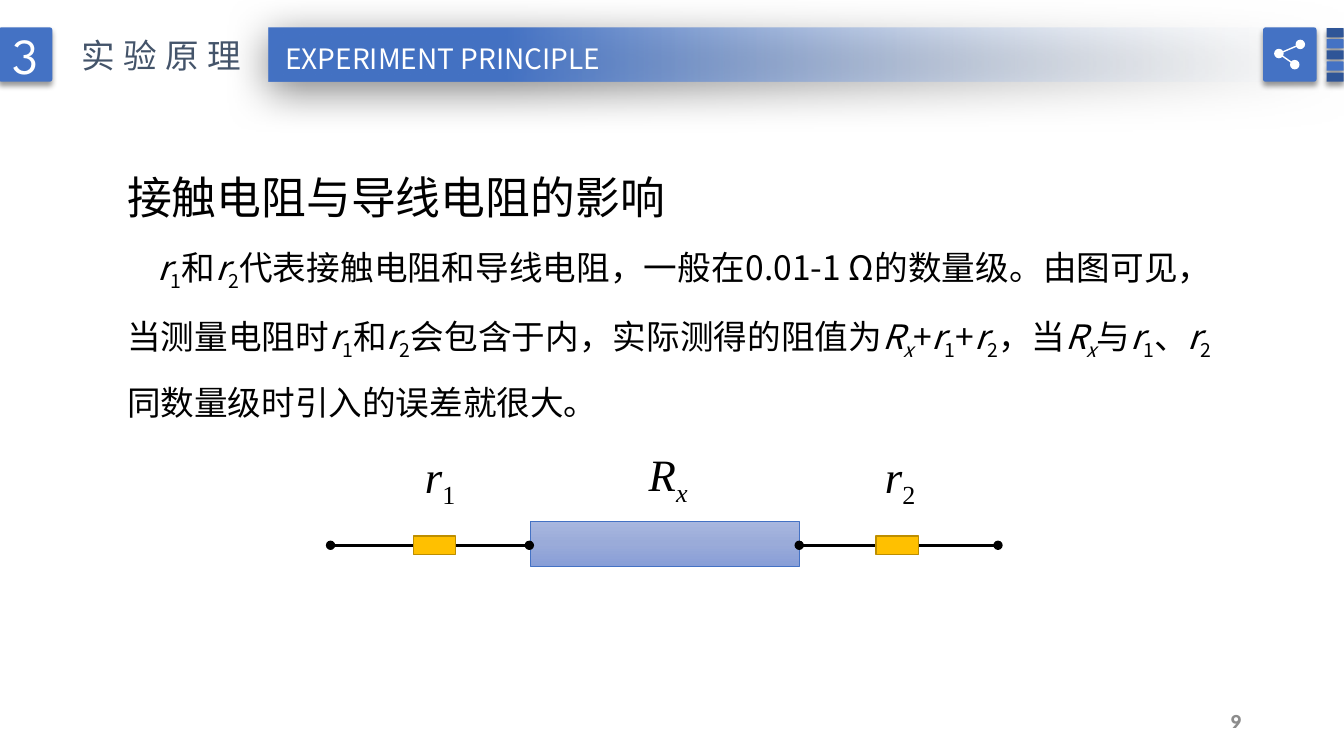
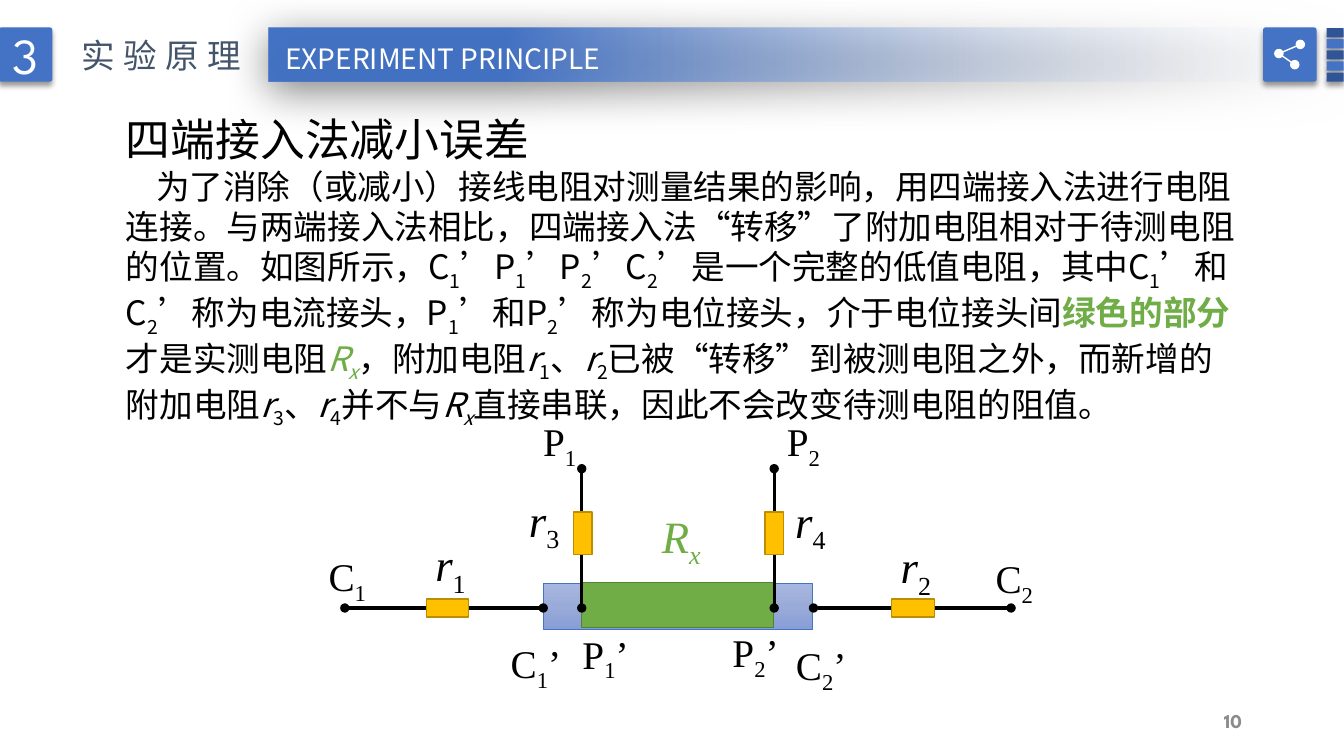
"""Two slides on contact resistance and the four-terminal connection."""
from dataclasses import dataclass
from typing import Any, Sequence

from lxml import etree
from pptx import Presentation
from pptx.dml.color import RGBColor
from pptx.enum.lang import MSO_LANGUAGE_ID
from pptx.enum.shapes import MSO_CONNECTOR, MSO_SHAPE
from pptx.enum.text import MSO_ANCHOR, MSO_AUTO_SIZE, PP_ALIGN
from pptx.oxml import parse_xml
from pptx.oxml.ns import nsdecls, qn
from pptx.slide import Slide
from pptx.util import Cm, Pt

RECT, ROUND, OVAL = MSO_SHAPE.RECTANGLE, MSO_SHAPE.ROUNDED_RECTANGLE, MSO_SHAPE.OVAL
STRAIGHT = MSO_CONNECTOR.STRAIGHT
LEFT, CENTER, RIGHT, JUSTIFY = PP_ALIGN.LEFT, PP_ALIGN.CENTER, PP_ALIGN.RIGHT, PP_ALIGN.JUSTIFY
TOP, MIDDLE = MSO_ANCHOR.TOP, MSO_ANCHOR.MIDDLE
NO_FIT = MSO_AUTO_SIZE.NONE
GROW = MSO_AUTO_SIZE.SHAPE_TO_FIT_TEXT
CHINESE = MSO_LANGUAGE_ID.SIMPLIFIED_CHINESE


@dataclass(frozen=True)
class Theme:
    """Colours, fonts and type sizes of the deck."""
    blue: str = "4472C4"
    navy: str = "2F5597"
    slate: str = "44546A"
    grey: str = "8C8C8C"
    white: str = "FFFFFF"
    black: str = "000000"
    pale: str = "F7FAFD"
    green: str = "70AD47"
    green_line: str = "538035"
    amber: str = "FFC000"
    amber_line: str = "BD8E00"
    block: tuple[str, ...] = ("A8B7DF", "9AABD9", "889ED7")
    sans: str = "Noto Sans CJK SC"
    display: str = "League Spartan"
    serif: str = "Times New Roman"
    number: int = 36
    heading: int = 32
    symbol: int = 32
    terminal: int = 28
    body: int = 24
    band: int = 20
    page: int = 14


@dataclass(frozen=True)
class Box:
    """A rectangle in centimetres."""
    x: float
    y: float
    w: float
    h: float

    def emu(self) -> tuple[int, int, int, int]:
        """Return the four lengths for python-pptx."""
        return Cm(self.x), Cm(self.y), Cm(self.w), Cm(self.h)


@dataclass(frozen=True)
class Wire:
    """A straight lead from one point to another."""
    x1: float
    y1: float
    x2: float
    y2: float


@dataclass(frozen=True)
class Resistor:
    """A small resistor given by its centre."""
    cx: float
    cy: float
    upright: bool = False


@dataclass(frozen=True)
class Label:
    """A circuit label in run markup."""
    text: str
    x: float
    y: float
    w: float
    size: int


@dataclass(frozen=True)
class Page:
    """The content of one slide."""
    number: str
    heading: str
    text: str
    box: Box
    align: Any
    spacing: float
    block: Box
    wires: Sequence[Wire]
    resistors: Sequence[Resistor]
    labels: Sequence[Label]
    core: Box | None = None


T = Theme()
SYM, TERM = T.symbol, T.terminal

PAGES = (
    Page(
        "9", "接触电阻与导线电阻的影响",
        "*r|_1|和|*r|_2|代表接触电阻和导线电阻，一般在0.01-1 Ω的数量级。由图可见，当测量电阻时"
        "|*r|_1|和|*r|_2|会包含于内，实际测得的阻值为|*R|*_x|+|*r|_1|+|*r|_2|，当|*R|*_x|与"
        "|*r|_1|、|*r|_2|同数量级时引入的误差就很大。",
        Box(2.95, 3.48, 27.84, 6.93), JUSTIFY, 1.5,
        Box(13.36, 13.13, 6.78, 1.14),
        (Wire(8.33, 13.74, 13.34, 13.74), Wire(20.14, 13.74, 25.15, 13.74)),
        (Resistor(10.95, 13.74), Resistor(22.61, 13.74)),
        (Label("*R|*_x", 16.1, 11.13, 1.55, SYM), Label("*r|_1", 10.46, 11.18, 1.35, SYM),
         Label("*r|_2", 22.05, 11.18, 1.35, SYM)),
    ),
    Page(
        "10", "四端接入法减小误差",
        "为了消除（或减小）接线电阻对测量结果的影响，用四端接入法进行电阻连接。与两端接入法相比，"
        "四端接入法“转移”了附加电阻相对于待测电阻的位置。如图所示，C|_1|’P|_1|’P|_2|’C|_2|"
        "’是一个完整的低值电阻，其中C|_1|’和C|_2|’称为电流接头，P|_1|’和P|_2|"
        "’称为电位接头，介于电位接头间|#!绿色的部分|才是实测电阻|#*R|#*_x|，附加电阻"
        "|*r|_1|、|*r|_2|已被“转移”到被测电阻之外，而新增的附加电阻|*r|_3|、|*r|_4|并不与"
        "|*R|*_x|直接串联，因此不会改变待测电阻的阻值。",
        Box(2.92, 2.69, 28.52, 9.32), LEFT, 1.0,
        Box(13.69, 14.71, 6.78, 1.14),
        (Wire(8.69, 15.32, 13.69, 15.32), Wire(20.5, 15.32, 25.48, 15.32),
         Wire(14.66, 11.81, 14.66, 15.32), Wire(19.51, 11.81, 19.51, 15.32)),
        (Resistor(11.28, 15.32), Resistor(23.01, 15.32),
         Resistor(14.69, 13.44, True), Resistor(19.51, 13.44, True)),
        (Label("#*R|#*_x", 16.43, 12.7, 1.55, SYM), Label("*r|_1", 10.72, 13.41, 1.35, SYM),
         Label("*r|_2", 22.45, 13.46, 1.35, SYM), Label("*r|_3", 13.08, 12.29, 1.35, SYM),
         Label("*r|_4", 19.79, 12.32, 1.35, SYM), Label("C|_1", 8.03, 13.79, 1.5, TERM),
         Label("C|_2", 24.84, 13.84, 1.5, TERM), Label("P|_1", 13.44, 10.39, 1.4, TERM),
         Label("P|_2", 19.58, 10.39, 1.4, TERM), Label("C|_1|’", 12.62, 15.98, 1.85, TERM),
         Label("P|_1|’", 14.43, 15.75, 1.73, TERM), Label("P|_2|’", 18.21, 15.72, 1.73, TERM),
         Label("C|_2|’", 19.81, 16.03, 1.85, TERM)),
        Box(14.66, 14.68, 4.83, 1.14),
    ),
)


def style_run(r: Any, size: int, color: str, face: str) -> None:
    """Set size, colour and typeface of a run for all scripts."""
    r.font.size = Pt(size)
    r.font.color.rgb = RGBColor.from_string(color)
    r.font.name = face
    rpr = r.font._element
    rpr.find(qn("a:latin")).addnext(rpr.makeelement(qn("a:ea"), {"typeface": face}))
    if face == T.sans:
        r.font.language_id = CHINESE


def write_marked(p: Any, text: str, size: int, face: str) -> None:
    """Write runs split by | with marks: # green, ! bold, * italic, _ subscript."""
    for part in text.split("|"):
        r = p.add_run()
        r.text = part.lstrip("#!*_")
        marks = part[:len(part) - len(r.text)]
        style_run(r, size, T.green if "#" in marks else T.black, face)
        r.font.bold = "!" in marks
        r.font.italic = "*" in marks
        if "_" in marks:
            r.font._element.set("baseline", "-25000")


def write_plain(sp: Any, text: str, size: int, color: str, face: str, align: Any,
                anchor: Any = TOP, wrap: bool = True) -> None:
    """Fill a shape with one uniform paragraph."""
    tf = sp.text_frame
    tf.text = text
    tf.word_wrap = wrap
    tf.vertical_anchor = anchor
    tf.auto_size = NO_FIT if wrap else GROW
    p = tf.paragraphs[0]
    p.alignment = align
    style_run(p.runs[0], size, color, face)


def add_shadow(sp: Any, alpha: int, blur: int, dist: int, angle: int) -> None:
    """Give a shape a black outer shadow."""
    effects = sp.element.spPr.find(qn("a:effectLst"))
    effects.append(parse_xml(
        f'<a:outerShdw {nsdecls("a")} blurRad="{Pt(blur)}" dist="{Pt(dist)}" '
        f'dir="{angle * 60000}" algn="t" rotWithShape="0"><a:srgbClr val="{T.black}">'
        f'<a:alpha val="{alpha * 1000}"/></a:srgbClr></a:outerShdw>'))


def fill_gradient(sp: Any, stops: Sequence[tuple[int, str, int]], angle: int) -> None:
    """Fill a shape with stops of position, colour and opacity."""
    inner = "".join(
        f'<a:gs pos="{pos * 1000}"><a:srgbClr val="{color}">'
        f'<a:alpha val="{alpha * 1000}"/></a:srgbClr></a:gs>' for pos, color, alpha in stops)
    sp.element.spPr.find(qn("a:prstGeom")).addnext(parse_xml(
        f'<a:gradFill {nsdecls("a")} rotWithShape="1"><a:gsLst>{inner}</a:gsLst>'
        f'<a:lin ang="{angle * 60000}" scaled="0"/></a:gradFill>'))


def add_block(s: Slide, kind: Any, box: Box, fill: str | None = None,
              line: str | None = None, width: float = 1) -> Any:
    """Add a preset shape with a flat fill and an optional outline."""
    sp = s.shapes.add_shape(kind, *box.emu())
    sp.shadow.inherit = False
    if fill:
        sp.fill.solid()
        sp.fill.fore_color.rgb = RGBColor.from_string(fill)
    if line:
        sp.line.color.rgb = RGBColor.from_string(line)
        sp.line.width = Pt(width)
    else:
        sp.line.fill.background()
    return sp


def add_tile(s: Slide, box: Box, fill: str) -> Any:
    """Add a slightly rounded tile with a soft shadow."""
    sp = add_block(s, ROUND, box, fill)
    sp.adjustments[0] = 0.05
    add_shadow(sp, 40, 4, 3, 90)
    return sp


def add_line(s: Slide, wire: Wire, color: str, width: float, dots: bool = False) -> None:
    """Add a straight line, with round ends if asked."""
    cn = s.shapes.add_connector(STRAIGHT, Cm(wire.x1), Cm(wire.y1), Cm(wire.x2), Cm(wire.y2))
    cn.line.color.rgb = RGBColor.from_string(color)
    cn.line.width = Pt(width)
    if dots:
        ln = cn.line._get_or_add_ln()
        for end in ("a:headEnd", "a:tailEnd"):
            etree.SubElement(ln, qn(end), type="oval")
    etree.SubElement(cn.element.spPr, qn("a:effectLst"))


def add_header(s: Slide) -> None:
    """Draw the band, the section number, the share mark and the edge stripes."""
    band = add_block(s, RECT, Box(6.78, 0.71, 27.1, 1.35))
    fill_gradient(band, ((0, T.pale, 0), (78, T.blue, 100)), 180)
    add_shadow(band, 50, 31, 6, 97)
    tile = add_tile(s, Box(-0.03, 0.69, 1.35, 1.37), T.blue)
    write_plain(tile, "3", T.number, T.white, T.display, CENTER, MIDDLE)
    tb = s.shapes.add_textbox(*Box(6.81, 0.91, 8.71, 1.12).emu())
    write_plain(tb, "EXPERIMENT PRINCIPLE", T.band, T.white, T.sans, CENTER, wrap=False)
    for i in range(5):
        add_tile(s, Box(33.43, 0.71 + 0.28 * i, 0.43, 0.23), T.blue if i % 2 else T.navy)
    add_tile(s, Box(31.83, 0.69, 1.35, 1.37), T.blue)
    hub, *ends = nodes = ((32.23, 1.35), (32.77, 1.12), (32.63, 1.63))
    for end in ends:
        add_line(s, Wire(*hub, *end), T.white, 1)
    for x, y in nodes:
        add_block(s, OVAL, Box(x - 0.12, y - 0.12, 0.24, 0.24), T.white)


def place(s: Slide, ph: Any, box: Box) -> None:
    """Move a placeholder to a box, in front of the header."""
    ph.left, ph.top, ph.width, ph.height = box.emu()
    s.shapes.element.append(ph.element)


def add_texts(s: Slide, page: Page) -> None:
    """Fill the title, the body and the page number."""
    title, body = s.shapes.title, s.placeholders[1]
    place(s, title, Box(1.8, 0.74, 4.78, 1.27))
    write_plain(title, "实验原理", T.body, T.slate, T.sans, LEFT, wrap=False)
    title.text_frame.paragraphs[0].runs[0].font._element.set("spc", "600")

    place(s, body, page.box)
    tf = body.text_frame
    tf.auto_size = NO_FIT
    rows = ((tf.paragraphs[0], page.heading, T.heading, 0),
            (tf.add_paragraph(), page.text, T.body, 0.76))
    for p, text, size, indent in rows:
        ppr = p._p.get_or_add_pPr()
        ppr.set("marL", "0")
        ppr.set("indent", str(Cm(indent)))
        etree.SubElement(ppr, qn("a:buNone"))
        p.alignment = page.align
        p.line_spacing = page.spacing
        p.space_before = Pt(0)
        write_marked(p, text, size, T.sans)

    tb = s.shapes.add_textbox(*Box(23.93, 17.65, 7.62, 1.02).emu())
    write_plain(tb, page.number, T.page, T.grey, T.display, RIGHT, MIDDLE)
    tb.text_frame.paragraphs[0].runs[0].font.bold = True


def add_circuit(s: Slide, page: Page) -> None:
    """Draw the measured block with its wires, resistors and labels."""
    block = add_block(s, RECT, page.block, line=T.blue, width=0.5)
    fill_gradient(block, [(50 * i, c, 100) for i, c in enumerate(T.block)], 90)
    if page.core:
        add_block(s, RECT, page.core, T.green, T.green_line)
    for wire in page.wires:
        add_line(s, wire, T.black, 2.25, dots=True)
    for res in page.resistors:
        w, h = (0.46, 1.07) if res.upright else (1.07, 0.46)
        add_block(s, RECT, Box(res.cx - w / 2, res.cy - h / 2, w, h), T.amber, T.amber_line)
    for label in page.labels:
        tb = s.shapes.add_textbox(*Box(label.x, label.y, label.w, 1.63).emu())
        tb.text_frame.word_wrap = False
        tb.text_frame.auto_size = GROW
        write_marked(tb.text_frame.paragraphs[0], label.text, label.size, T.serif)


def main() -> None:
    """Build and save the deck."""
    prs = Presentation()
    prs.slide_width, prs.slide_height = Cm(33.87), Cm(19.05)
    for page in PAGES:
        s = prs.slides.add_slide(prs.slide_layouts[1])
        add_header(s)
        add_texts(s, page)
        add_circuit(s, page)
    prs.save("out.pptx")


if __name__ == "__main__":
    main()
